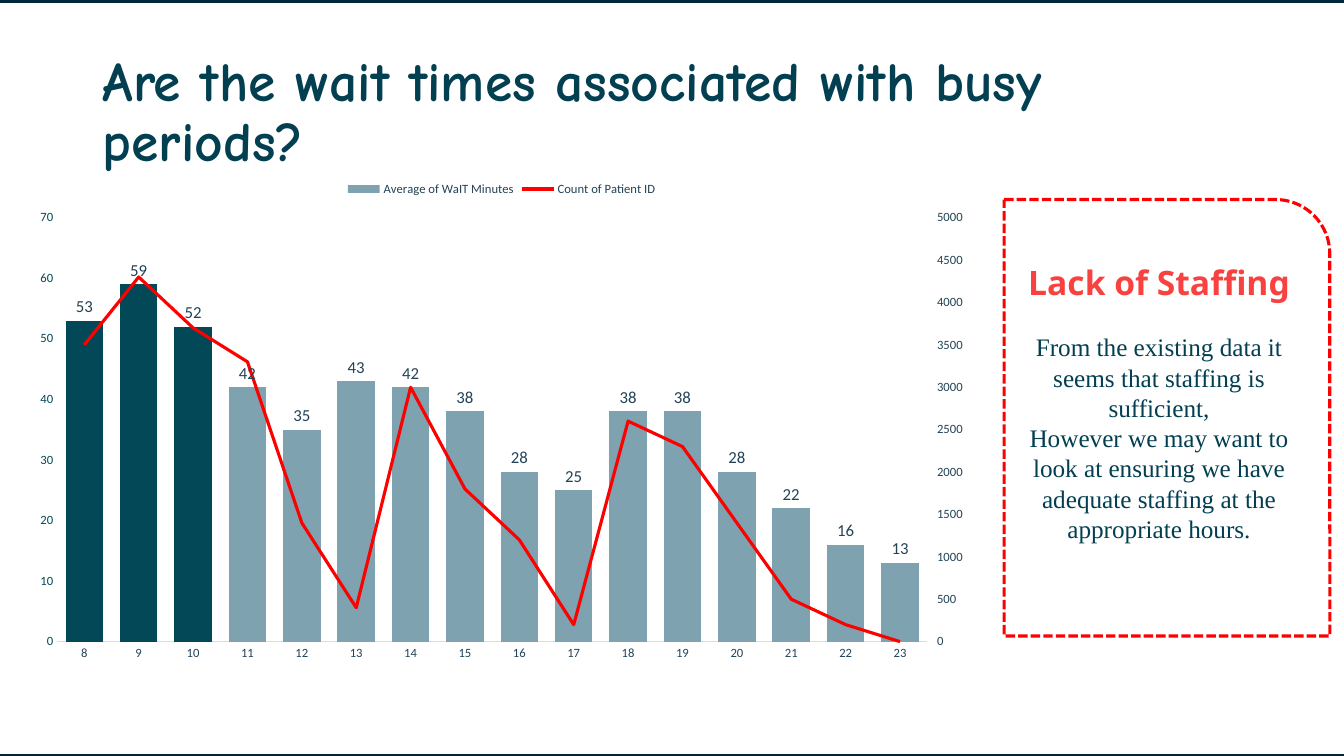
"""Build the slide comparing wait times with busy periods."""
from copy import deepcopy

from pptx import Presentation
from pptx.chart.data import CategoryChartData
from pptx.dml.color import RGBColor
from pptx.enum.chart import XL_CHART_TYPE as CT, XL_LABEL_POSITION as LP
from pptx.enum.chart import XL_LEGEND_POSITION as LEG, XL_TICK_MARK as TICK
from pptx.enum.chart import XL_MARKER_STYLE as MARKER
from pptx.enum.dml import MSO_LINE
from pptx.enum.shapes import MSO_SHAPE as SHAPE
from pptx.enum.text import MSO_ANCHOR as ANCHOR, PP_ALIGN as ALIGN
from pptx.oxml import parse_xml
from pptx.oxml.ns import nsdecls
from pptx.util import Inches, Pt

NAVY = RGBColor(0x00, 0x26, 0x39)
TEAL = RGBColor(0x02, 0x3F, 0x51)
DARK_BAR = RGBColor(0x02, 0x48, 0x56)
BAR = RGBColor(0x7E, 0xA2, 0xB0)
SLATE = RGBColor(0x22, 0x43, 0x56)
PALE = RGBColor(0xBB, 0xE8, 0xFF)
RED = RGBColor(0xFF, 0x00, 0x00)
BORDER_RED = RGBColor(0xFE, 0x00, 0x01)
CORAL = RGBColor(0xF9, 0x41, 0x3F)


def style_font(font, size, color, name="Calibri", bold=False):
    font.size, font.name, font.bold = Pt(size), name, bold
    font.color.rgb = color


def add_outline(kind, left, top, width, height, color):
    sp = s.shapes.add_shape(kind, Inches(left), Inches(top), Inches(width), Inches(height))
    sp.shadow.inherit = False
    sp.fill.background()
    sp.line.color.rgb = color
    sp.line.width = Pt(2.25)
    return sp


prs = Presentation()
prs.slide_width, prs.slide_height = Inches(13.33), Inches(7.5)
s = prs.slides.add_slide(prs.slide_layouts[6])

title = s.shapes.add_textbox(Inches(0.92), Inches(0.4), Inches(11.5), Inches(1.45))
tf = title.text_frame
tf.word_wrap = True
tf.vertical_anchor = ANCHOR.MIDDLE
p = tf.paragraphs[0]
p.line_spacing = 0.9
r = p.add_run()
r.text = "Are the wait times associated with busy periods?"
style_font(r.font, 39.6, TEAL, "Comic Neue", True)

data = CategoryChartData()
data.categories = [str(hour) for hour in range(8, 24)]
data.add_series("Average of WaIT Minutes",
                (53, 59, 52, 42, 35, 43, 42, 38, 28, 25, 38, 38, 28, 22, 16, 13))
data.add_series("Count of Patient ID",
                (3500, 4300, 3700, 3300, 1400, 400, 3000, 1800,
                 1200, 200, 2600, 2300, 1400, 500, 200, 0))
chart = s.shapes.add_chart(CT.COLUMN_CLUSTERED, Inches(0.21), Inches(1.69),
                           Inches(9.53), Inches(4.96), data).chart
style_font(chart.font, 10, NAVY)
chart.has_title = False
chart.has_legend = True
chart.legend.position = LEG.TOP
chart.legend.include_in_layout = False
style_font(chart.legend.font, 9, SLATE)

hours, minutes = chart.category_axis, chart.value_axis
for axis, color in ((hours, SLATE), (minutes, DARK_BAR)):
    axis.major_tick_mark = axis.minor_tick_mark = TICK.NONE
    axis.has_major_gridlines = False
    style_font(axis.tick_labels.font, 9, color)
hours.format.line.color.rgb = PALE
hours.format.line.width = Pt(0.75)
minutes.format.line.fill.background()
minutes.minimum_scale, minutes.maximum_scale, minutes.major_unit = 0, 70, 10
minutes.tick_labels.number_format = "0"
minutes.tick_labels.number_format_is_linked = False

bars = chart.plots[0]
bars.gap_width, bars.overlap, bars.vary_by_categories = 45, -27, False
waits = bars.series[0]
waits.format.fill.solid()
waits.format.fill.fore_color.rgb = BAR
for i in range(3):
    fill = waits.points[i].format.fill
    fill.solid()
    fill.fore_color.rgb = DARK_BAR
labels = waits.data_labels
labels.show_value = True
labels.position = LP.OUTSIDE_END
labels.number_format, labels.number_format_is_linked = "0", False
style_font(labels.font, 12, SLATE)

bar_xml = chart.element.xpath(".//c:barChart")[0]
cat_xml = chart.element.xpath(".//c:catAx")[0]
val_xml = chart.element.xpath(".//c:valAx")[0]
line_xml = parse_xml(
    f'<c:lineChart {nsdecls("c")}><c:grouping val="standard"/><c:varyColors val="0"/>'
    '<c:marker val="1"/><c:axId val="5001"/><c:axId val="5002"/></c:lineChart>')
count_xml = bar_xml.xpath("c:ser")[1]
for el in count_xml.xpath("c:invertIfNegative"):
    count_xml.remove(el)
line_xml.insert(2, count_xml)
bar_xml.addnext(line_xml)

right_val, right_cat = deepcopy(val_xml), deepcopy(cat_xml)
val_xml.addnext(right_val)
right_val.addnext(right_cat)
changes = (
    (right_cat, {"axId": "5001", "crossAx": "5002", "delete": "1"}),
    (right_val, {"axId": "5002", "crossAx": "5001", "axPos": "r", "crosses": "max",
                 "majorTickMark": "out", "majorUnit": "500"}),
)
for axis_xml, values in changes:
    for tag, value in values.items():
        axis_xml.xpath(f"c:{tag}")[0].set("val", value)
right_val.xpath("c:scaling/c:max")[0].set("val", "5000")
right_val.xpath(".//a:srgbClr")[0].set("val", str(SLATE))

count = chart.plots[1].series[0]
count.smooth = False
count.format.line.color.rgb = RED
count.format.line.width = Pt(2.25)
count.marker.style = MARKER.NONE

note = add_outline(SHAPE.ROUND_1_RECTANGLE, 9.96, 1.98, 3.23, 4.33, BORDER_RED)
note.line.dash_style = MSO_LINE.SQUARE_DOT
tf = note.text_frame
tf.word_wrap = True
tf.vertical_anchor = ANCHOR.MIDDLE
tf.margin_bottom = Inches(0.35)
notes = (
    ("Lack of Staffing", 24, CORAL, "Noto Sans", True, 0),
    ("From the existing data it seems that staffing is sufficient,",
     18, TEAL, "Times New Roman", False, 21),
    ("However we may want to look at ensuring we have adequate staffing "
     "at the appropriate hours.", 18, TEAL, "Times New Roman", False, 0),
)
for i, (text, size, color, name, bold, before) in enumerate(notes):
    p = tf.add_paragraph() if i else tf.paragraphs[0]
    p.alignment = ALIGN.CENTER
    p.space_before = Pt(before)
    r = p.add_run()
    r.text = text
    style_font(r.font, size, color, name, bold)

add_outline(SHAPE.RECTANGLE, -0.03, 0.01, 13.38, 7.49, NAVY)

prs.save("out.pptx")
